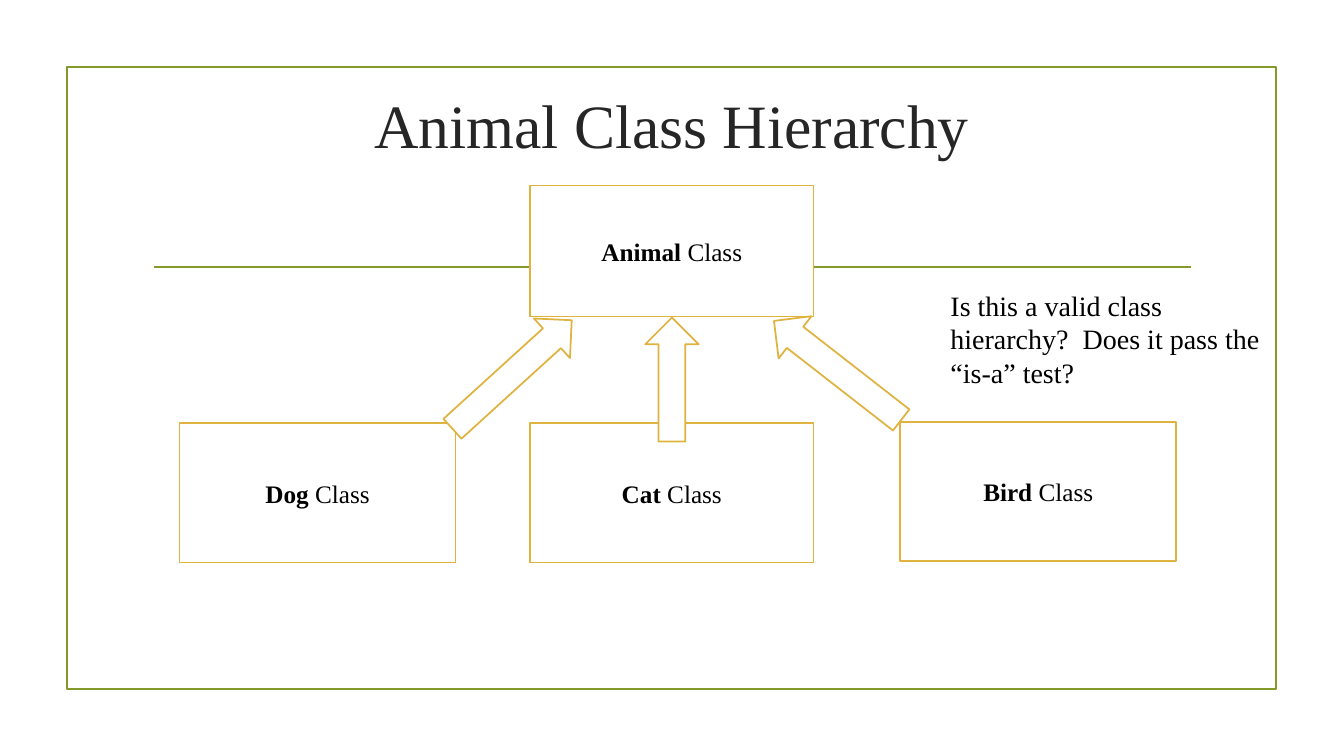
from pptx import Presentation
from pptx.dml.color import RGBColor
from pptx.enum.shapes import MSO_CONNECTOR as Connector, MSO_SHAPE as Preset
from pptx.enum.text import MSO_ANCHOR as Anchor, MSO_AUTO_SIZE as AutoSize, PP_ALIGN as Align
from pptx.oxml.ns import qn
from pptx.util import Pt
from lxml.etree import SubElement

FONT = "Times New Roman"
COLORS = {
    "frame": "83992A",
    "box": "DEB340",
    "paper": "FFFFFF",
    "title": "262626",
    "text": "000000",
}
TITLE = "Animal Class Hierarchy"
QUESTION = "Is this a valid class hierarchy?  Does it pass the “is-a” test?"
CLASSES = [
    ("Animal", (378.7, 132.5, 202.3, 93.6)),
    ("Dog", (128.2, 302.4, 197.3, 99.4)),
    ("Cat", (378.7, 302.4, 202.3, 99.4)),
    ("Bird", (643, 301.4, 197.3, 99.4)),
]
ARROW_THICKNESS = 38.2
ARROWS = [
    ((365.8, 267.5), 115.2, 317.7),
    ((480, 271.1), 88.6, 270),
    ((598.3, 264.6), 115.2, 217.9),
]


def color(name):
    return RGBColor.from_string(COLORS[name])


def bounds(*lengths):
    return [Pt(length) for length in lengths]


def set_font(paragraph, size, color_name):
    paragraph.font.name = FONT
    paragraph.font.size = Pt(size)
    paragraph.font.color.rgb = color(color_name)


def set_line(line, color_name):
    line.color.rgb = color(color_name)
    line.width = Pt(1.25)


def add_outlined(slide, preset, box, line_color, filled=True):
    shape = slide.shapes.add_shape(preset, *bounds(*box))
    shape.shadow.inherit = False
    if filled:
        shape.fill.solid()
        shape.fill.fore_color.rgb = color("paper")
    else:
        shape.fill.background()
    set_line(shape.line, line_color)
    return shape


def add_title(slide):
    title = slide.shapes.title
    title.left, title.top, title.width, title.height = bounds(102, 52.6, 756, 72)
    title.text_frame.text = TITLE
    title.text_frame.vertical_anchor = Anchor.MIDDLE
    paragraph = title.text_frame.paragraphs[0]
    paragraph.alignment = Align.CENTER
    set_font(paragraph, 44, "title")


def add_frame(slide):
    add_outlined(slide, Preset.RECTANGLE, (47.7, 48, 864, 444), "frame", filled=False)
    rule = slide.shapes.add_connector(Connector.STRAIGHT, *bounds(110, 190.8, 850.5, 190.8))
    set_line(rule.line, "frame")
    SubElement(rule.element.spPr, qn("a:effectLst"))


def add_class(slide, name, box):
    shape = add_outlined(slide, Preset.RECTANGLE, box, "box")
    shape.text_frame.vertical_anchor = Anchor.MIDDLE
    paragraph = shape.text_frame.paragraphs[0]
    paragraph.alignment = Align.CENTER
    set_font(paragraph, 18, "text")
    for text, bold in ((name, True), (" Class", False)):
        run = paragraph.add_run()
        run.text = text
        run.font.bold = bold


def add_arrow(slide, center, length, angle):
    x, y = center
    box = (x - length / 2, y - ARROW_THICKNESS / 2, length, ARROW_THICKNESS)
    add_outlined(slide, Preset.RIGHT_ARROW, box, "box").rotation = angle


def add_question(slide):
    text_frame = slide.shapes.add_textbox(*bounds(671.8, 202.3, 241.2, 55.4)).text_frame
    text_frame.word_wrap = True
    text_frame.auto_size = AutoSize.SHAPE_TO_FIT_TEXT
    text_frame.text = QUESTION
    set_font(text_frame.paragraphs[0], 20, "text")


def main():
    presentation = Presentation()
    presentation.slide_width, presentation.slide_height = Pt(960), Pt(540)
    slide = presentation.slides.add_slide(presentation.slide_layouts[5])
    add_title(slide)
    add_frame(slide)
    for name, box in CLASSES:
        add_class(slide, name, box)
    for center, length, angle in ARROWS:
        add_arrow(slide, center, length, angle)
    add_question(slide)
    presentation.save("out.pptx")


if __name__ == "__main__":
    main()
